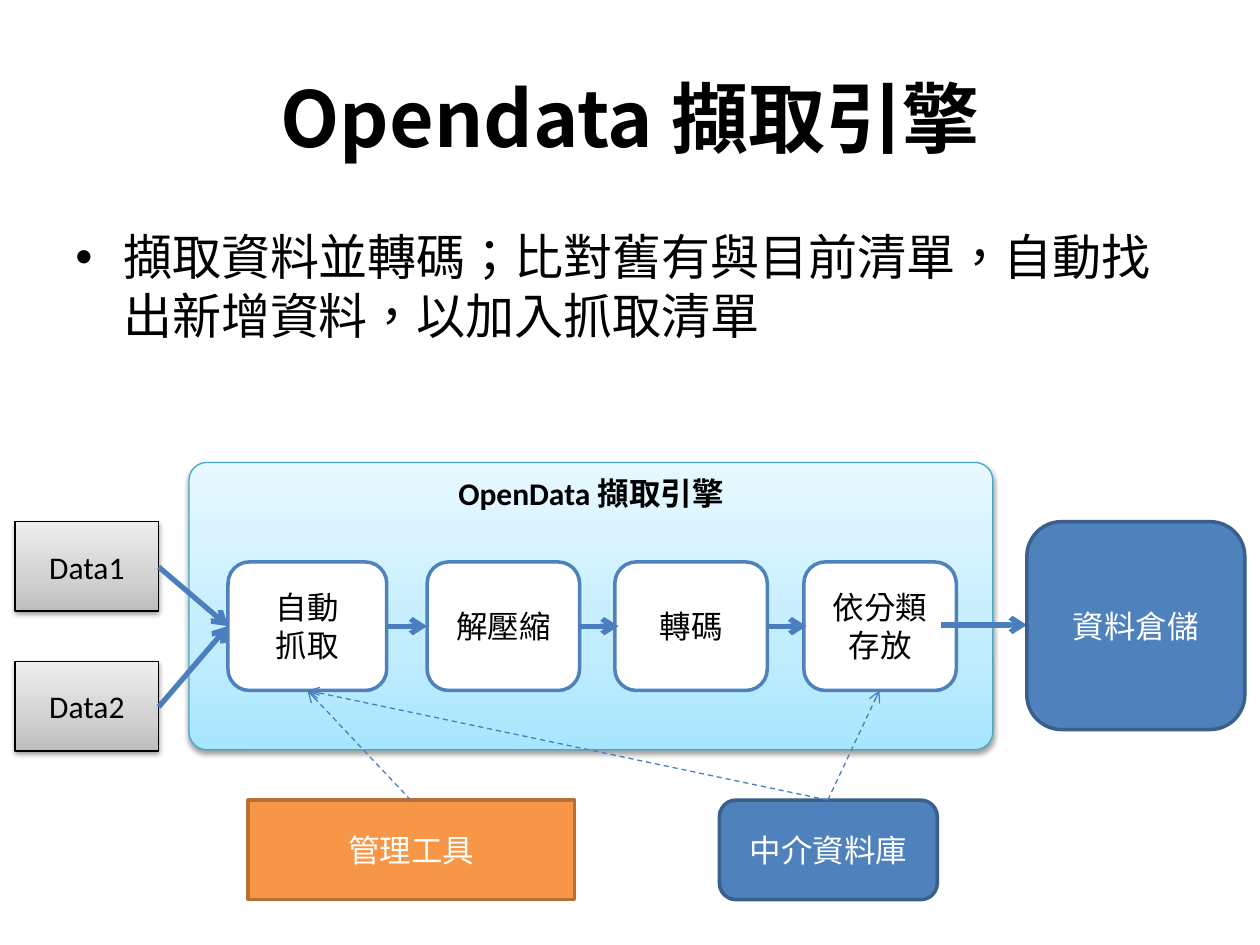
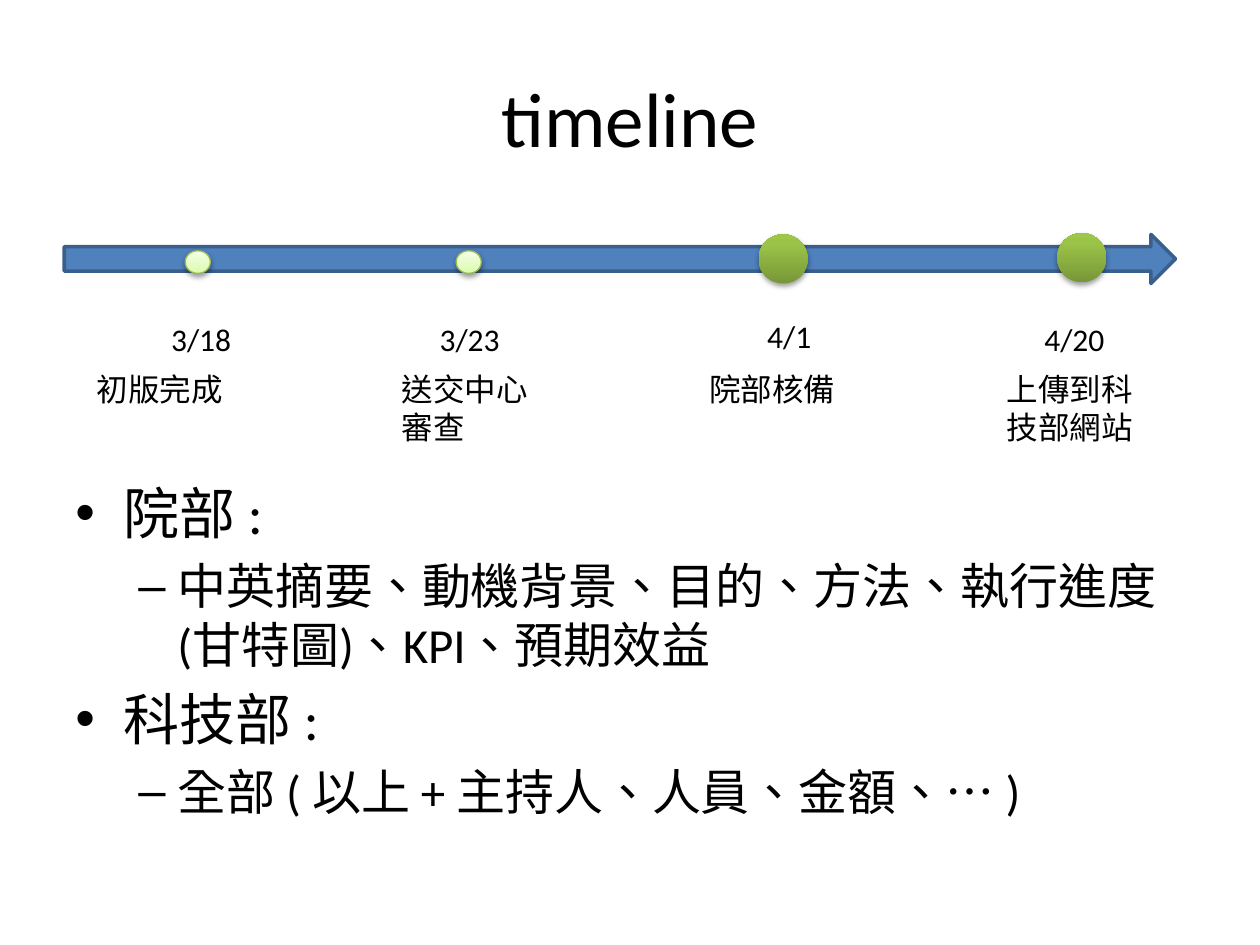
from lxml import etree
from pptx import Presentation
from pptx.dml.color import RGBColor
from pptx.enum import dml, lang, shapes, text
from pptx.oxml import parse_xml
from pptx.oxml.ns import nsdecls, qn
from pptx.util import Inches, Pt

BLUE, DARK_BLUE, ARROW_BLUE = "4F81BD", "3A5F8C", "4B7EBC"
BLACK, WHITE = "000000", "FFFFFF"
ORANGE, DARK_ORANGE = "F79646", "B76F34"
SKY = [(0, "A7E6FF"), (35, "C1EDFF"), (100, "E7F8FF")]
GREY = [(0, "BDBDBD"), (35, "D1D1D1"), (100, "EEEEEE")]
PALE_GREEN = [(0, "DAFDA7"), (35, "E4FCC2"), (100, "F5FFE7")]
GREEN = [(0, "779737"), (80, "9BC348"), (100, "9DC746")]

RECT = shapes.MSO_SHAPE.RECTANGLE
ROUND = shapes.MSO_SHAPE.ROUNDED_RECTANGLE
OVAL = shapes.MSO_SHAPE.OVAL
RIGHT_ARROW = shapes.MSO_SHAPE.RIGHT_ARROW
LEFT, CENTER = text.PP_ALIGN.LEFT, text.PP_ALIGN.CENTER
TOP, MIDDLE = text.MSO_ANCHOR.TOP, text.MSO_ANCHOR.MIDDLE

BULLETS = {0: ("•", 32, 0.38, -0.38), 1: ("–", 28, 0.81, -0.31)}


def rgb(hex_color):
    return RGBColor.from_string(hex_color)


def inches(*values):
    return [Inches(v) for v in values]


def write(p, content, size=18, color=BLACK, bold=False, font="Calibri", align=LEFT):
    p.alignment = align
    r = p.add_run()
    r.text = content
    r.font.size = Pt(size)
    r.font.name = font
    r.font.bold = bold
    r.font.color.rgb = rgb(color)
    r.font.language_id = lang.MSO_LANGUAGE_ID.TRADITIONAL_CHINESE


def write_lines(tf, content, **fmt):
    for i, line in enumerate(content.split("\n")):
        write(tf.add_paragraph() if i else tf.paragraphs[0], line, **fmt)


def add_text(s, at, content="", anchor=TOP, grow=False, **fmt):
    tf = s.shapes.add_textbox(*inches(*at)).text_frame
    tf.word_wrap = True
    tf.vertical_anchor = anchor
    if grow:
        tf.auto_size = text.MSO_AUTO_SIZE.SHAPE_TO_FIT_TEXT
    if content:
        write_lines(tf, content, **fmt)
    return tf


def add_title(s, content, **fmt):
    add_text(s, (0.5, 0.3, 9, 1.25), content, anchor=MIDDLE, size=44, align=CENTER, **fmt)


def add_bullets(s, at, items):
    tf = add_text(s, at)
    for i, (level, content, *size) in enumerate(items):
        p = tf.add_paragraph() if i else tf.paragraphs[0]
        mark, default, margin, indent = BULLETS[level]
        points = size[0] if size else default
        write(p, content, size=points)
        p.space_before = Pt(points * 0.2)
        pr = p._p.get_or_add_pPr()
        pr.set("marL", str(Inches(margin)))
        pr.set("indent", str(Inches(indent)))
        etree.SubElement(pr, qn("a:buFont")).set("typeface", "Arial")
        etree.SubElement(pr, qn("a:buChar")).set("char", mark)


def set_gradient(sp, stops):
    sp.fill.gradient()
    sp.fill.gradient_angle = 90
    gs_list = sp._element.spPr.find(".//" + qn("a:gsLst"))
    for gs in list(gs_list):
        gs_list.remove(gs)
    for position, color in stops:
        gs = etree.SubElement(gs_list, qn("a:gs"), pos=str(position * 1000))
        etree.SubElement(gs, qn("a:srgbClr"), val=color)


def add_shadow(sp):
    effects = sp._element.spPr.find(qn("a:effectLst"))
    effects.append(parse_xml(
        f'<a:outerShdw {nsdecls("a")} blurRad="{Pt(3.1)}" dist="{Pt(1.6)}" dir="5400000" '
        'rotWithShape="0"><a:srgbClr val="000000"><a:alpha val="38000"/></a:srgbClr>'
        '</a:outerShdw>'))


def add_box(s, kind, at, fill, line=None, width=2, content="", anchor=MIDDLE, adj=None, **fmt):
    sp = s.shapes.add_shape(kind, *inches(*at))
    sp.shadow.inherit = False
    if adj is not None:
        sp.adjustments[0] = adj
    if isinstance(fill, str):
        sp.fill.solid()
        sp.fill.fore_color.rgb = rgb(fill)
    else:
        set_gradient(sp, fill)
        add_shadow(sp)
    if line:
        sp.line.color.rgb = rgb(line)
        sp.line.width = Pt(width)
    else:
        sp.line.fill.background()
    if content:
        sp.text_frame.word_wrap = True
        sp.text_frame.vertical_anchor = anchor
        write_lines(sp.text_frame, content, align=CENTER, **fmt)


def add_arrow(s, start, end, width=3, dashed=False):
    c = s.shapes.add_connector(shapes.MSO_CONNECTOR.STRAIGHT, *inches(*start, *end))
    c.line.color.rgb = rgb(ARROW_BLUE)
    c.line.width = Pt(width)
    if dashed:
        c.line.dash_style = dml.MSO_LINE.DASH
    etree.SubElement(c.line._get_or_add_ln(), qn("a:tailEnd"), type="arrow")
    etree.SubElement(c._element.spPr, qn("a:effectLst"))


def build_engine(s):
    add_box(s, ROUND, (1.5, 3.67, 6.38, 2.28), SKY, "46AAC5", 0.75,
            "OpenData 擷取引擎", anchor=TOP, adj=0.062, bold=True)
    add_title(s, "Opendata 擷取引擎", bold=True, font="Noto Sans CJK SC")
    add_bullets(s, (0.5, 1.75, 9, 1.21), [
        (0, "擷取資料並轉碼；比對舊有與目前清單，自動找出新增資料，以加入抓取清單", 28)])

    steps = [(1.81, 1.26, "自動\n抓取"), (3.39, 1.21, "解壓縮"),
             (4.88, 1.21, "轉碼"), (6.38, 1.21, "依分類存放")]
    for x, w, label in steps:
        add_box(s, ROUND, (x, 4.46, w, 1.02), WHITE, BLUE, content=label)
    for y, label in [(4.14, "Data1"), (5.25, "Data2")]:
        add_box(s, RECT, (0.12, y, 1.14, 0.71), GREY, BLACK, 0.75, label)
        add_arrow(s, (1.26, y + 0.36), (1.81, 4.97))
    for x1, x2, y in [(3.07, 3.39, 4.97), (4.59, 4.91, 4.97),
                      (6.09, 6.4, 4.97), (7.47, 8.15, 4.96)]:
        add_arrow(s, (x1, y), (x2, y))

    add_box(s, RECT, (1.97, 6.35, 2.59, 0.79), ORANGE, DARK_ORANGE,
            content="管理工具", color=WHITE)
    for at, label in [((8.15, 4.14, 1.73, 1.65), "資料倉儲"),
                      ((5.71, 6.35, 1.73, 0.79), "中介資料庫")]:
        add_box(s, ROUND, at, BLUE, DARK_BLUE, content=label, color=WHITE)
    for x1, x2 in [(3.26, 2.44), (6.57, 2.44), (6.57, 6.98)]:
        add_arrow(s, (x1, 6.35), (x2, 5.48), 0.75, dashed=True)


def build_timeline(s):
    add_title(s, "timeline")
    add_bullets(s, (0.5, 3.75, 9, 2.95), [
        (0, "院部 :"),
        (1, "中英摘要、動機背景、目的、方法、執行進度(甘特圖)、KPI、預期效益"),
        (0, "科技部 :"),
        (1, "全部 ( 以上 + 主持人、人員、金額、… )")])
    add_box(s, RIGHT_ARROW, (0.51, 1.86, 8.82, 0.39), BLUE, DARK_BLUE)

    for x, y in [(1.47, 1.99), (3.62, 1.99)]:
        add_box(s, OVAL, (x, y, 0.2, 0.18), PALE_GREEN, "98B955", 0.75)
    for x, y in [(6.02, 1.86), (8.39, 1.85)]:
        add_box(s, OVAL, (x, y, 0.39, 0.39), GREEN)

    milestones = [(1.26, 2.49, "3/18", 0.67, 0.4, "初版完成"),
                  (3.39, 2.49, "3/23", 3.09, 0.71, "送交中心審查"),
                  (5.99, 2.47, "4/1", 5.53, 0.4, "院部核備"),
                  (8.19, 2.49, "4/20", 7.89, 0.71, "上傳到科技部網站")]
    for date_x, date_y, date, task_x, task_h, task in milestones:
        add_text(s, (date_x, date_y, 0.79, 0.4), date, grow=True)
        add_text(s, (task_x, 2.89, 1.38, task_h), task, grow=True)


def main():
    prs = Presentation()
    prs.slide_width, prs.slide_height = inches(10, 7.5)
    for build in (build_engine, build_timeline):
        build(prs.slides.add_slide(prs.slide_layouts[6]))
    prs.save("out.pptx")


if __name__ == "__main__":
    main()
